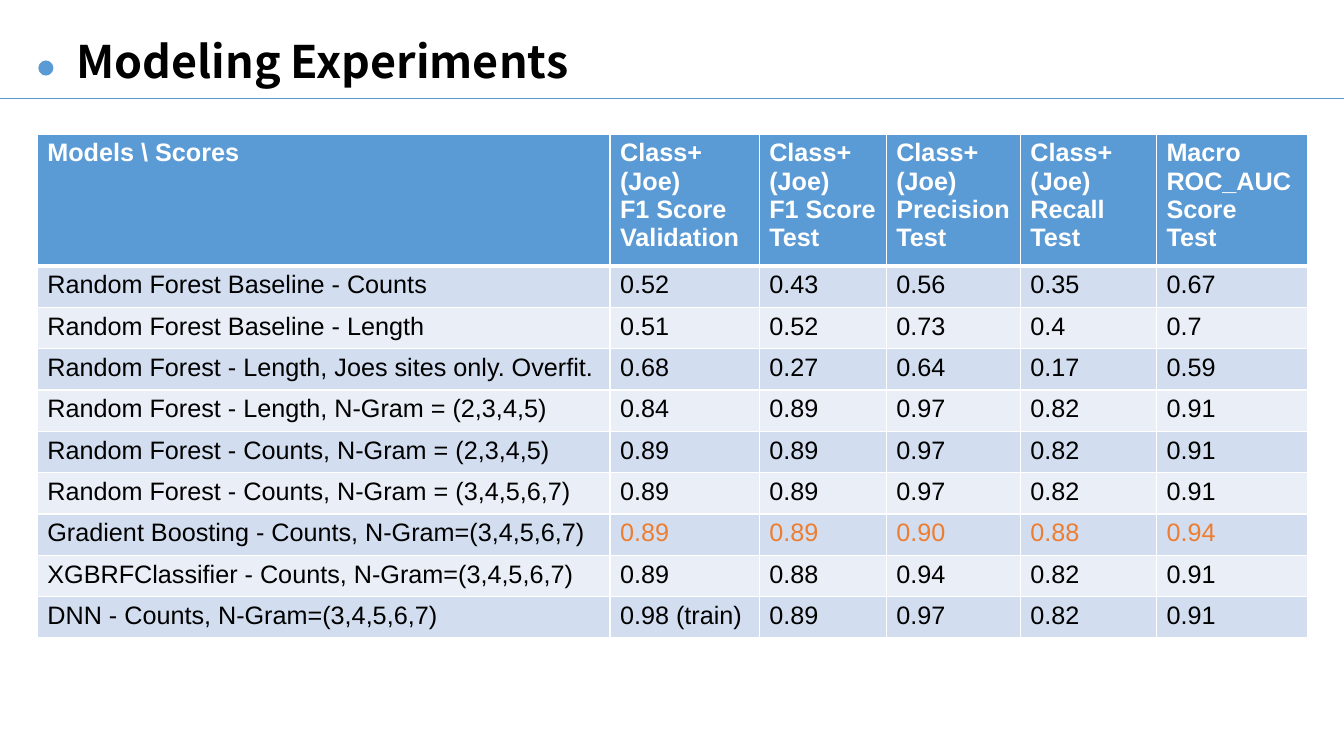
import dataclasses

import pptx
import pptx.dml.color
import pptx.enum.shapes
import pptx.enum.text
import pptx.oxml
import pptx.oxml.ns
import pptx.util
from pptx.util import Inches


@dataclasses.dataclass(frozen=True)
class Theme:
    accent: str = "5B9BD5"
    rule: str = "5698D3"
    band_dark: str = "D2DEEF"
    band_light: str = "EAEFF7"
    highlight: str = "ED7D31"
    white: str = "FFFFFF"
    black: str = "000000"
    title_font: str = "Noto Sans CJK SC"
    body_font: str = "Arial"
    title_size: int = 32
    body_size: int = 18


THEME = Theme()

COLUMN_WIDTHS = [5.68, 1.48, 1.26, 1.33, 1.35, 1.5]
HEADER_HEIGHT, ROW_HEIGHT = 1.31, 0.41
HEADERS = [
    "Models \\ Scores",
    "Class+ (Joe)\nF1 Score\nValidation",
    "Class+ (Joe)\nF1 Score\nTest",
    "Class+ (Joe) Precision Test",
    "Class+ (Joe)\nRecall Test",
    "Macro\nROC_AUC Score\nTest",
]
RESULTS = [
    ["Random Forest Baseline - Counts", "0.52", "0.43", "0.56", "0.35", "0.67"],
    ["Random Forest Baseline - Length", "0.51", "0.52", "0.73", "0.4", "0.7"],
    ["Random Forest - Length, Joes sites only. Overfit.", "0.68", "0.27", "0.64", "0.17", "0.59"],
    ["Random Forest - Length, N-Gram = (2,3,4,5)", "0.84", "0.89", "0.97", "0.82", "0.91"],
    ["Random Forest - Counts, N-Gram = (2,3,4,5)", "0.89", "0.89", "0.97", "0.82", "0.91"],
    ["Random Forest - Counts, N-Gram = (3,4,5,6,7)", "0.89", "0.89", "0.97", "0.82", "0.91"],
    ["Gradient Boosting - Counts, N-Gram=(3,4,5,6,7)", "0.89", "0.89", "0.90", "0.88", "0.94"],
    ["XGBRFClassifier - Counts, N-Gram=(3,4,5,6,7)", "0.89", "0.88", "0.94", "0.82", "0.91"],
    ["DNN - Counts, N-Gram=(3,4,5,6,7)", "0.98 (train)", "0.89", "0.97", "0.82", "0.91"],
]
BEST_ROW = 7


def rgb(color):
    return pptx.dml.color.RGBColor.from_string(color)


def write_text(tf, text, size=THEME.body_size, font=THEME.body_font,
               color=THEME.black, bold=False, line_spacing=None):
    """Fill a text frame, one paragraph for each line of text."""
    tf.word_wrap = True
    for i, line in enumerate(text.split("\n")):
        p = tf.add_paragraph() if i else tf.paragraphs[0]
        p.line_spacing = line_spacing
        r = p.add_run()
        r.text = line
        r.font.size = pptx.util.Pt(size)
        r.font.name = font
        r.font.bold = bold
        r.font.color.rgb = rgb(color)
        rPr = r.font._element
        ea = pptx.oxml.parse_xml(f'<a:ea {pptx.oxml.ns.nsdecls("a")} typeface="{font}"/>')
        rPr.find(pptx.oxml.ns.qn("a:latin")).addnext(ea)


def add_bullet_dot(s):
    sp = s.shapes.add_shape(pptx.enum.shapes.MSO_SHAPE.OVAL,
                            Inches(0.38), Inches(0.6), Inches(0.15), Inches(0.15))
    sp.shadow.inherit = False
    sp.fill.solid()
    sp.fill.fore_color.rgb = rgb(THEME.accent)
    sp.line.fill.background()


def add_rule(s, y, width):
    line = s.shapes.add_connector(pptx.enum.shapes.MSO_CONNECTOR.STRAIGHT,
                                  0, Inches(y), width, Inches(y))
    line.line.color.rgb = rgb(THEME.rule)
    line.line.width = pptx.util.Pt(0.75)
    line._element.spPr.append(
        pptx.oxml.parse_xml(f'<a:effectLst {pptx.oxml.ns.nsdecls("a")}/>'))


def add_title(s, text):
    sp = s.shapes.add_textbox(Inches(0.66), Inches(0.35), Inches(11.34), Inches(0.64))
    sp.text_frame.auto_size = pptx.enum.text.MSO_AUTO_SIZE.SHAPE_TO_FIT_TEXT
    write_text(sp.text_frame, text, size=THEME.title_size, font=THEME.title_font,
               bold=True, line_spacing=0.9)


def set_borders(cell, **widths):
    """Draw white borders; widths in points are keyed by side: L, R, T, B."""
    tcPr = cell._tc.get_or_add_tcPr()
    for side, width in widths.items():
        tcPr.append(pptx.oxml.parse_xml(
            f'<a:ln{side} {pptx.oxml.ns.nsdecls("a")} w="{pptx.util.Pt(width)}">'
            f'<a:solidFill><a:srgbClr val="{THEME.white}"/></a:solidFill></a:ln{side}>'))


def cell_style(row, col):
    """Return the fill and the text format of a cell."""
    if row == 0:
        return THEME.accent, {"color": THEME.white, "bold": True}
    fill = THEME.band_dark if row % 2 else THEME.band_light
    best = row == BEST_ROW and col > 0
    return fill, {"color": THEME.highlight if best else THEME.black}


def add_score_table(s):
    rows = [HEADERS] + RESULTS
    heights = [HEADER_HEIGHT] + [ROW_HEIGHT] * len(RESULTS)
    table = s.shapes.add_table(len(rows), len(HEADERS), Inches(0.37), Inches(1.33),
                               Inches(sum(COLUMN_WIDTHS)), Inches(sum(heights))).table
    for column, width in zip(table.columns, COLUMN_WIDTHS):
        column.width = Inches(width)
    for i, (texts, height) in enumerate(zip(rows, heights)):
        table.rows[i].height = Inches(height)
        for j, text in enumerate(texts):
            cell = table.cell(i, j)
            fill, text_format = cell_style(i, j)
            set_borders(cell, L=1, R=1, T=3 if i == 1 else 1, B=1 if i else 3)
            cell.fill.solid()
            cell.fill.fore_color.rgb = rgb(fill)
            write_text(cell.text_frame, text, **text_format)


def main():
    prs = pptx.Presentation()
    prs.slide_width, prs.slide_height = Inches(13.33), Inches(7.5)
    s = prs.slides.add_slide(prs.slide_layouts[6])
    add_bullet_dot(s)
    add_rule(s, 0.98, prs.slide_width)
    add_title(s, "Modeling Experiments")
    add_score_table(s)
    prs.save("out.pptx")


if __name__ == "__main__":
    main()
